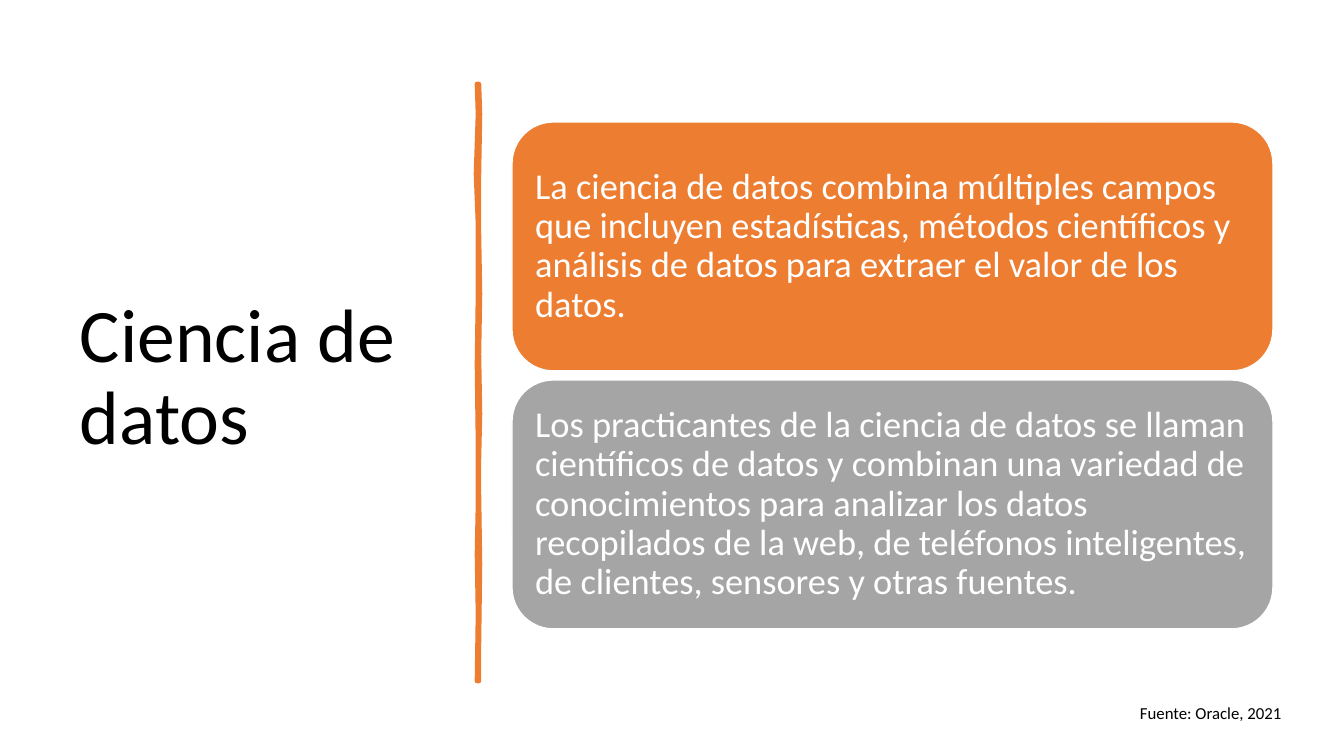
from pptx import Presentation, util as u
from pptx.dml.color import RGBColor
from pptx.enum import shapes, text

PX = 914400 / 100.8
FONT = "Calibri"
BLACK = RGBColor(0x00, 0x00, 0x00)
WHITE = RGBColor(0xFF, 0xFF, 0xFF)
ORANGE = RGBColor(0xED, 0x7D, 0x31)
GRAY = RGBColor(0xA5, 0xA5, 0xA5)

CARDS = [
    ("La ciencia de datos combina múltiples campos que incluyen estadísticas, "
     "métodos científicos y análisis de datos para extraer el valor de los datos.",
     ORANGE),
    ("Los practicantes de la ciencia de datos se llaman científicos de datos y "
     "combinan una variedad de conocimientos para analizar los datos recopilados "
     "de la web, de teléfonos inteligentes, de clientes, sensores y otras fuentes.",
     GRAY),
]

LEFT_EDGE = [(1, 0), (2, 30), (0, 90), (2, 140), (2, 210), (1, 280),
             (2, 360), (2, 420), (1, 470), (2, 530), (1, 597)]
RIGHT_EDGE = [(3, 597), (3, 560), (4, 480), (3, 410), (3, 375), (4, 330),
              (3, 270), (4, 210), (3, 150), (3, 90), (4, 30), (3, 0)]


def emu(px):
    return u.Emu(round(px * PX))


def write(shape, words, size, color, inset):
    frame = shape.text_frame
    frame.word_wrap = True
    frame.vertical_anchor = text.MSO_ANCHOR.MIDDLE
    frame.margin_left = frame.margin_right = emu(inset)
    frame.margin_top = frame.margin_bottom = emu(inset)
    frame.text = words
    paragraph = frame.paragraphs[0]
    paragraph.alignment = text.PP_ALIGN.LEFT
    paragraph.line_spacing = 0.9
    font = paragraph.runs[0].font
    font.name = FONT
    font.size = u.Pt(size)
    font.color.rgb = color


def add_label(slide, box, words, size, inset):
    label = slide.shapes.add_textbox(*map(emu, box))
    write(label, words, size, BLACK, inset)


def add_divider(slide, left, top):
    points = [(left + x, top + y) for x, y in LEFT_EDGE + RIGHT_EDGE]
    builder = slide.shapes.build_freeform(*points[0], scale=PX)
    builder.add_line_segments(points[1:], close=True)
    divider = builder.convert_to_shape()
    divider.shadow.inherit = False
    divider.fill.solid()
    divider.fill.fore_color.rgb = ORANGE
    divider.line.color.rgb = ORANGE
    divider.line.width = u.Pt(3.25)


def add_cards(slide, left, top, width, height, gap):
    card_height = (height - gap * (len(CARDS) - 1)) / len(CARDS)
    for row, (words, color) in enumerate(CARDS):
        card_top = top + row * (card_height + gap)
        card = slide.shapes.add_shape(
            shapes.MSO_SHAPE.ROUNDED_RECTANGLE,
            *map(emu, (left, card_top, width, card_height)))
        card.shadow.inherit = False
        card.fill.solid()
        card.fill.fore_color.rgb = color
        card.line.color.rgb = WHITE
        card.line.width = u.Pt(1)
        write(card, words, 26, WHITE, 11)


def main():
    deck = Presentation()
    deck.slide_width, deck.slide_height = emu(1344), emu(756)
    slide = deck.slides.add_slide(deck.slide_layouts[6])
    add_label(slide, (70, 71, 377, 616), "Ciencia de datos", 54, 10)
    add_divider(slide, 476, 84)
    add_cards(slide, 512, 122, 761, 507, 9)
    add_label(slide, (1130, 691, 204, 47), "Fuente: Oracle, 2021", 12, 10)
    deck.save("out.pptx")


if __name__ == "__main__":
    main()
